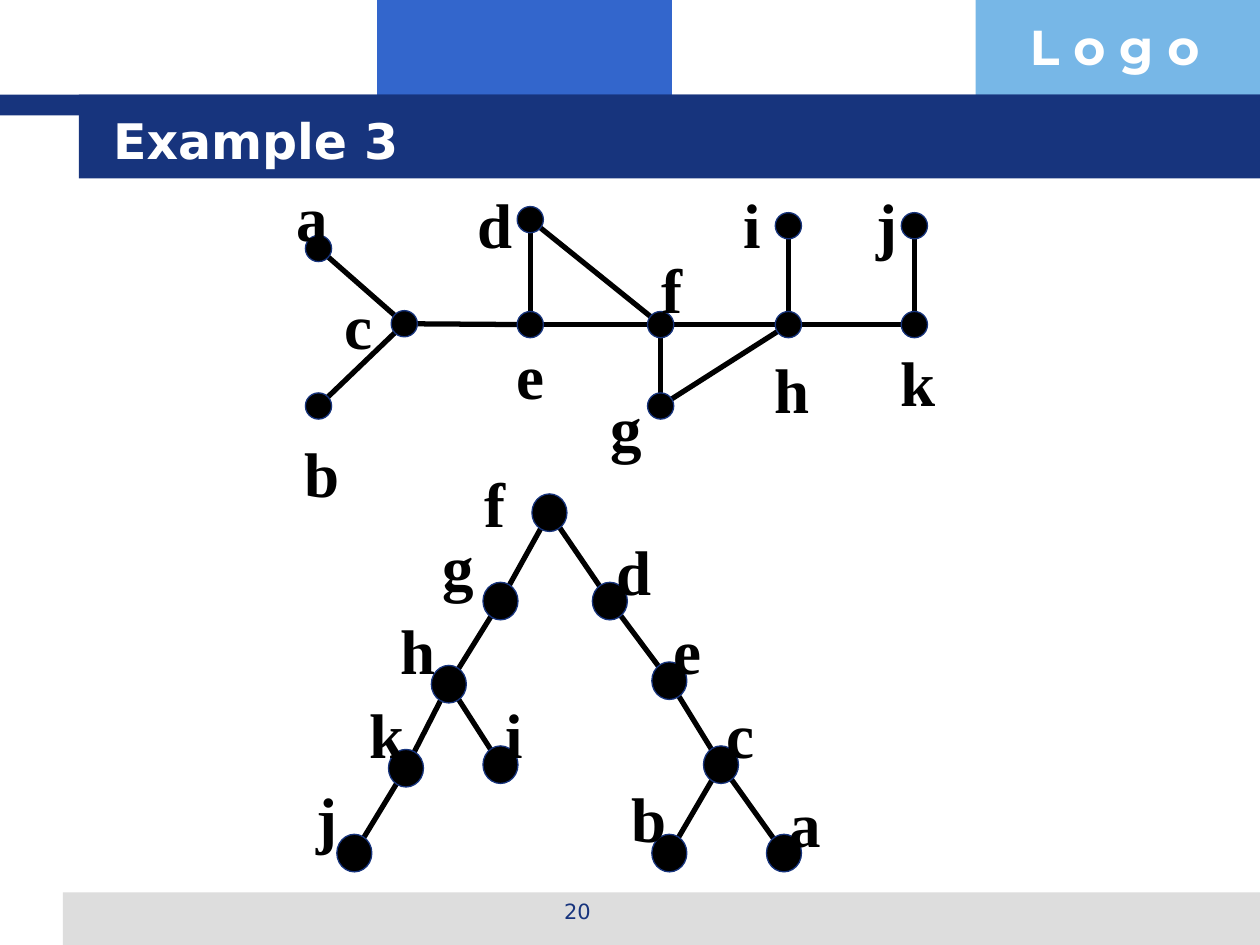
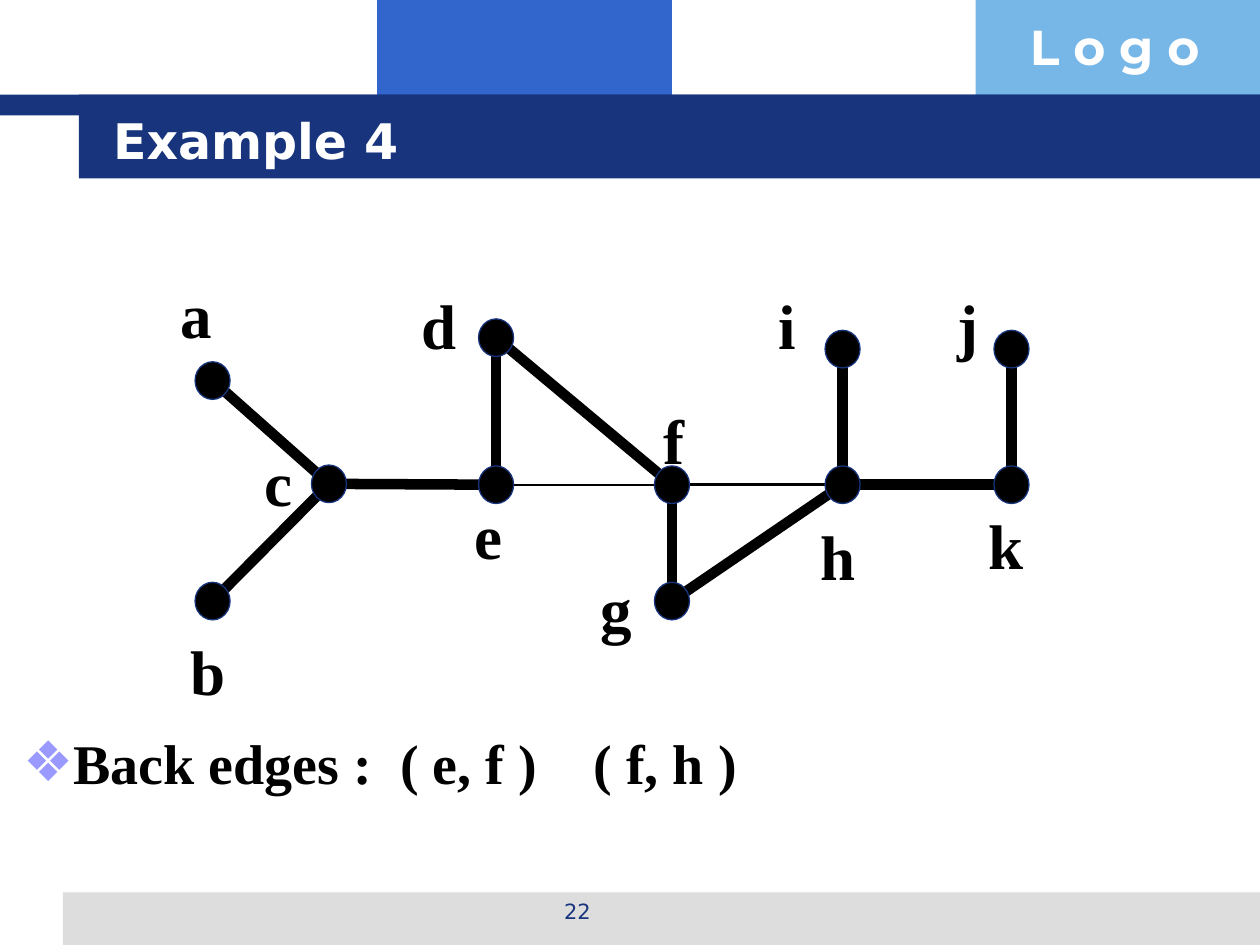
"""Build two slides on depth-first search trees and back edges."""
from lxml import etree
from pptx import Presentation
from pptx.dml.color import RGBColor
from pptx.enum import shapes, text
from pptx.oxml import ns
from pptx.util import Pt

NAVY, BLUE, SKY, GREY = "17347D", "3366CC", "77B7E7", "DDDDDD"
WHITE, BLACK, LILAC = "FFFFFF", "000000", "9999FF"
SANS, SERIF, BRAND = "DejaVu Sans", "Times New Roman", "Montserrat"
ALIGN = text.PP_ALIGN
BANDS = [
    (215.5, 0, 168.5, 66, BLUE),
    (557.5, 0, 162.5, 66, SKY),
    (36, 510, 684, 30, GREY),
    (0, 54, 720, 12, NAVY),
    (45, 54, 675, 48, NAVY),
]
LINKS = "ac bc ce de df ef fh fg gh hi hk jk"
BRANCHES = "fg gh hk kj hi fd de ec cb ca"

# Each node: centre x, centre y, label left, label top.
GRAPH = {
    "a": (182, 142, 162.5, 94.5),
    "b": (182, 232, 167, 240.5),
    "c": (231, 185, 189.5, 156),
    "d": (303, 125.5, 265.5, 98.5),
    "e": (303, 185.5, 288, 184.5),
    "f": (377.5, 185.5, 371, 135.5),
    "g": (377.5, 232, 342, 214.5),
    "h": (450.5, 185.5, 435.5, 193),
    "i": (450.5, 129, 417.5, 98.5),
    "j": (522.5, 129, 494, 98.5),
    "k": (522.5, 185.5, 507.5, 188.5),
}
TREE = {
    "f": (314, 293, 270, 258),
    "g": (286, 343.5, 246, 294),
    "h": (256.5, 391, 222, 342),
    "k": (232, 439, 204, 390),
    "j": (202.5, 487.5, 174, 438),
    "i": (286, 437, 282, 390),
    "d": (348.5, 343.5, 345, 297),
    "e": (382.5, 389, 378, 342),
    "c": (412, 437, 408, 390),
    "b": (382.5, 487.5, 354, 438),
    "a": (448, 487.5, 444, 441),
}
SEARCH = {
    "a": (121.5, 217.5, 96, 150),
    "b": (121.5, 343.5, 102, 354),
    "c": (188, 276.5, 144, 246),
    "d": (283.5, 193, 234, 156),
    "e": (283.5, 277, 264, 276),
    "f": (384, 277, 372, 222),
    "g": (384, 343.5, 336, 318),
    "h": (481.5, 277, 462, 288),
    "i": (481.5, 199.5, 438, 156),
    "j": (578, 199.5, 540, 156),
    "k": (578, 277, 558, 282),
}


def paint(fmt, tint):
    fmt.solid()
    fmt.fore_color.rgb = RGBColor.from_string(tint)


def place(shape, left, top, width, height):
    shape.left, shape.top = Pt(left), Pt(top)
    shape.width, shape.height = Pt(width), Pt(height)


def style(para, face, size, tint, bold=True, align=ALIGN.LEFT):
    para.alignment = align
    para.space_before = Pt(0)
    for run in para.runs:
        run.font.name, run.font.size, run.font.bold = face, Pt(size), bold
        paint(run.font.fill, tint)


def form(slide, kind, box, tint, edge=None):
    shape = slide.shapes.add_shape(kind, *map(Pt, box))
    shape.shadow.inherit = False
    paint(shape.fill, tint)
    if edge:
        paint(shape.line.fill, edge)
        shape.line.width = Pt(0.75)
    else:
        shape.line.fill.background()
    return shape


def write(slide, words, box, face, size, tint, bold=True, align=ALIGN.LEFT, pad=3.6):
    shape = slide.shapes.add_textbox(*map(Pt, box))
    frame = shape.text_frame
    frame.word_wrap = True
    frame.margin_top = Pt(pad)
    frame.text = words
    style(frame.paragraphs[0], face, size, tint, bold, align)
    return shape


def brand(deck, slide):
    """Draw the shared bands and move them to the master."""
    parts = [form(slide, shapes.MSO_SHAPE.RECTANGLE, band[:4], band[4]) for band in BANDS]
    parts.append(write(slide, "L o g o", (581.5, 6, 138.5, 41), BRAND, 28, WHITE))
    tree = deck.slide_master.shapes.element
    for step, part in enumerate(parts):
        part.element.xpath(".//p:cNvPr")[0].set("id", str(100 + step))
        tree.insert(2 + step, part.element)


def start(deck, layout, title, page):
    slide = deck.slides.add_slide(deck.slide_layouts[layout])
    for hold in list(slide.placeholders):
        if hold.placeholder_format.idx >= 10:
            hold.element.getparent().remove(hold.element)
    head = slide.shapes.title
    place(head, 57.5, 57.5, 614, 44.5)
    frame = head.text_frame
    frame.text = title
    frame.auto_size = text.MSO_AUTO_SIZE.NONE
    frame.vertical_anchor = text.MSO_ANCHOR.MIDDLE
    style(frame.paragraphs[0], SANS, 28, WHITE)
    write(slide, page, (246, 510, 168, 25), SANS, 12, NAVY, False, ALIGN.CENTER)
    return slide


def link(slide, tail, head, width):
    ends = map(Pt, (*tail[:2], *head[:2]))
    line = slide.shapes.add_connector(shapes.MSO_CONNECTOR.STRAIGHT, *ends)
    paint(line.line.fill, BLACK)
    line.line.width = Pt(width)
    etree.SubElement(line.element.spPr, ns.qn("a:effectLst"))


def plot(slide, nodes, links, dot=(20, 21.5), label=(36, 48), width=3, thin=None):
    """Draw links centre to centre, then dots and labels over them."""
    for pair in links.split():
        tail, head = (nodes[name] for name in pair)
        link(slide, tail, head, (thin or {}).get(pair, width))
    wide, high = dot
    for name, (x, y, left, top) in nodes.items():
        box = (x - wide / 2, y - high / 2, wide, high)
        form(slide, shapes.MSO_SHAPE.OVAL, box, BLACK, NAVY)
        write(slide, name, (left, top, *label), SERIF, 36, BLACK, pad=7.5)


def bullet(para, sign, tint, stops):
    props = para._p.get_or_add_pPr()
    props.set("marL", str(Pt(27)))
    props.set("indent", str(Pt(-27)))
    tone = etree.SubElement(props, ns.qn("a:buClr"))
    etree.SubElement(tone, ns.qn("a:srgbClr"), val=tint)
    etree.SubElement(props, ns.qn("a:buFont"), typeface=SANS)
    etree.SubElement(props, ns.qn("a:buChar"), char=sign)
    tabs = etree.SubElement(props, ns.qn("a:tabLst"))
    for stop in stops:
        etree.SubElement(tabs, ns.qn("a:tab"), pos=str(Pt(stop)), algn="l")


def note(slide, words, box, stops):
    body = slide.placeholders[1]
    place(body, *box)
    frame = body.text_frame
    frame.text = words
    frame.auto_size = text.MSO_AUTO_SIZE.NONE
    frame.margin_top = Pt(8.5)
    para = frame.paragraphs[0]
    bullet(para, "❖", LILAC, stops)
    style(para, SERIF, 32, BLACK)


def main():
    deck = Presentation()
    deck.slide_width, deck.slide_height = Pt(720), Pt(540)

    third = start(deck, 5, "Example 3", "20")
    brand(deck, third)
    plot(third, GRAPH, LINKS, dot=(15, 15), label=(26.5, 34.5))
    plot(third, TREE, BRANCHES)

    fourth = start(deck, 1, "Example 4", "22")
    plot(fourth, SEARCH, LINKS, width=6, thin={"ef": 1, "fh": 1.5})
    note(fourth, "Back edges :\t( e, f )\t( f, h )", (6, 408, 708, 84), (215.5, 326))

    deck.save("out.pptx")


if __name__ == "__main__":
    main()
